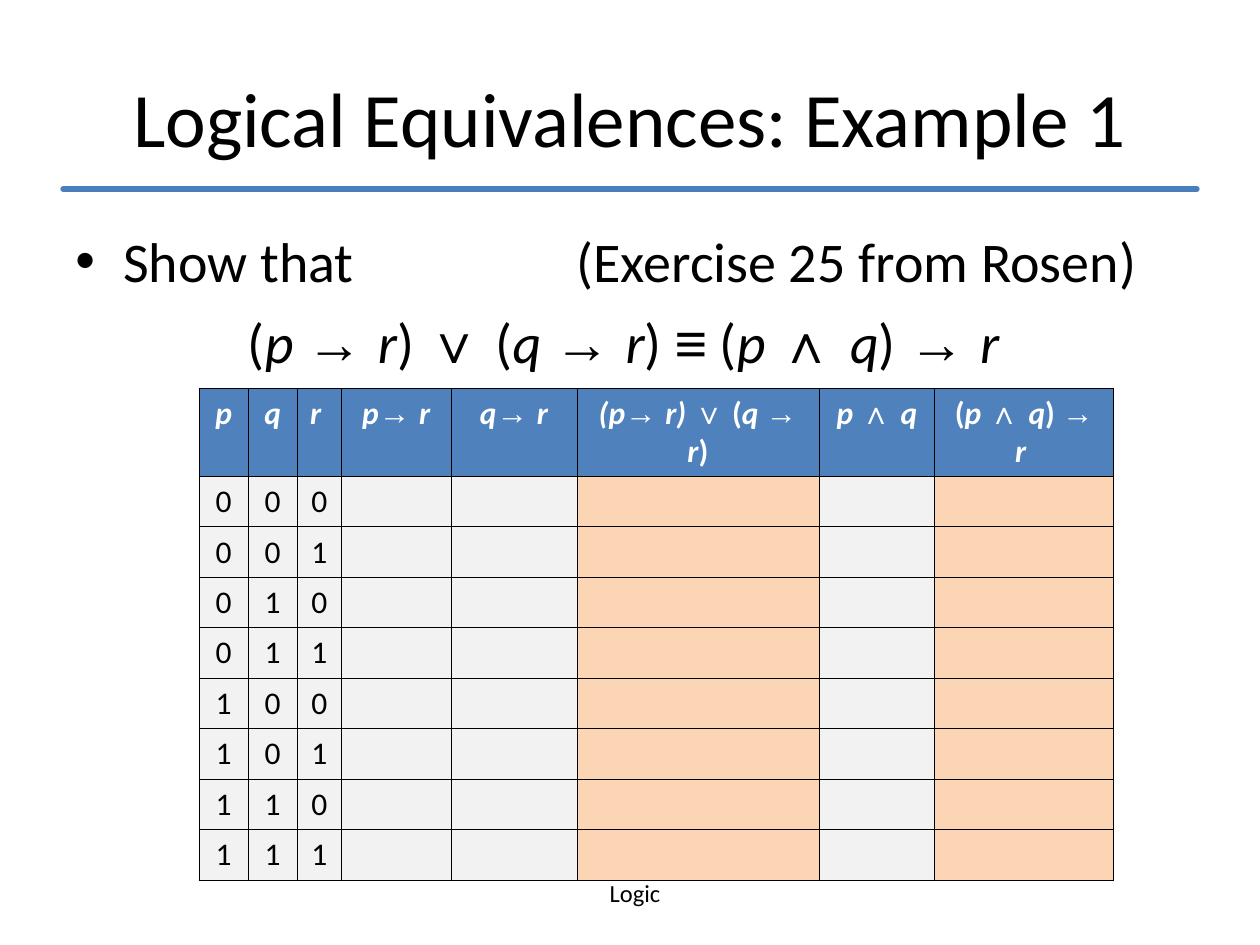
from dataclasses import dataclass
from itertools import product

from lxml import etree
from pptx import Presentation
from pptx import util as u
from pptx.dml.color import RGBColor
from pptx.enum import shapes, text
from pptx.oxml import parse_xml
from pptx.oxml.ns import nsdecls, qn


@dataclass(frozen=True)
class Theme:
    font: str = "Calibri"
    symbol_font: str = "Arial"
    ink: str = "000000"
    rule: str = "4A7EBB"
    header: str = "4F81BD"
    header_ink: str = "FFFFFF"
    plain: str = "F2F2F2"
    result: str = "FCD5B5"
    title_size: int = 44
    body_size: int = 32
    table_size: int = 18
    footer_size: int = 14


theme = Theme()


def write(paragraph, content, size, color=theme.ink, bold=False,
          align=text.PP_ALIGN.CENTER, space_before=0):
    """Fill a paragraph; * toggles italics and | toggles the symbol font."""
    paragraph.alignment = align
    paragraph.space_before = u.Pt(space_before)
    italic = False
    for part in content.split("*"):
        for index, piece in enumerate(part.split("|")):
            if piece:
                run = paragraph.add_run()
                run.text = piece
                run.font.name = theme.symbol_font if index % 2 else theme.font
                run.font.size = u.Pt(size)
                run.font.bold = bold
                run.font.italic = italic
                run.font.color.rgb = RGBColor.from_string(color)
        italic = not italic


def add_text_frame(slide, left, top, width, height):
    shape = slide.shapes.add_textbox(*map(u.Inches, (left, top, width, height)))
    shape.text_frame.word_wrap = True
    return shape.text_frame


presentation = Presentation()
presentation.slide_width = u.Inches(10)
presentation.slide_height = u.Inches(7.5)
slide = presentation.slides.add_slide(presentation.slide_layouts[6])

# Footer
footer = add_text_frame(slide, 3.58, 6.92, 2.92, 0.34)
write(footer.paragraphs[0], "Logic", theme.footer_size)

# Rule under the title
rule = slide.shapes.add_connector(
    shapes.MSO_CONNECTOR.STRAIGHT,
    u.Inches(0.5), u.Inches(1.5), u.Inches(9.5), u.Inches(1.5))
rule.line.color.rgb = RGBColor.from_string(theme.rule)
rule.line.width = u.Pt(3)
rule.line._get_or_add_ln().set("cap", "rnd")
etree.SubElement(rule._element.spPr, qn("a:effectLst"))

# Title
title = add_text_frame(slide, 0.5, 0.3, 9, 1.25)
title.vertical_anchor = text.MSO_ANCHOR.MIDDLE
write(title.paragraphs[0], "Logical Equivalences: Example 1", theme.title_size)

# Task and formula
body = add_text_frame(slide, 0.5, 1.75, 9, 4.95)
task, formula = body.paragraphs[0], body.add_paragraph()
write(task, "Show that \t(Exercise 25 from Rosen)", theme.body_size,
      align=text.PP_ALIGN.LEFT, space_before=8)
write(formula, "(*p *|→ |*r*) |∨| (*q *|→ |*r*) |≡| (*p *|∧ |*q*) |→ |*r *",
      theme.body_size, space_before=8)
for paragraph in (task, formula):
    properties = paragraph._p.get_or_add_pPr()
    properties.set("marL", str(u.Inches(0.38)))
    properties.set("indent", str(-u.Inches(0.38)))
properties = task._p.get_or_add_pPr()
etree.SubElement(properties, qn("a:buFont"), typeface=theme.symbol_font)
etree.SubElement(properties, qn("a:buChar"), char="•")
tabs = etree.SubElement(properties, qn("a:tabLst"))
for position, side in ((8.69, "r"), (9, "l"), (10, "l"), (11, "l")):
    etree.SubElement(tabs, qn("a:tab"), pos=str(u.Inches(position)), algn=side)

# Truth table: heading, column width, fill of the cells below
columns = [
    ("*p*", 0.39, theme.plain),
    ("*q*", 0.39, theme.plain),
    ("*r *", 0.35, theme.plain),
    ("*p*|→ |*r*", 0.87, theme.plain),
    ("*q*|→ |*r*", 1, theme.plain),
    ("*(p*|→ |*r) *|∨| (*q *|→ |*r*)", 1.92, theme.result),
    ("*p *|∧ |*q*", 0.92, theme.plain),
    ("(*p *|∧ |*q*) |→ |*r *", 1.42, theme.result),
]
inputs = list(product("01", repeat=3))
row_height = 0.4
row_count = len(inputs) + 1
table = slide.shapes.add_table(
    row_count, len(columns), u.Inches(1.58), u.Inches(3.08),
    u.Inches(sum(width for _, width, _ in columns)),
    u.Inches(row_height * row_count)).table
table.horz_banding = False
for row in table.rows:
    row.height = u.Inches(row_height)

for column_index, (heading, width, fill) in enumerate(columns):
    table.columns[column_index].width = u.Inches(width)
    for row_index in range(row_count):
        cell = table.cell(row_index, column_index)
        for side in ("lnL", "lnR", "lnT", "lnB"):
            cell._tc.get_or_add_tcPr().append(parse_xml(
                f'<a:{side} {nsdecls("a")} w="{u.Pt(0.45)}"><a:solidFill>'
                f'<a:srgbClr val="{theme.ink}"/></a:solidFill></a:{side}>'))
        cell.fill.solid()
        cell.fill.fore_color.rgb = RGBColor.from_string(
            fill if row_index else theme.header)
        paragraph = cell.text_frame.paragraphs[0]
        if row_index == 0:
            write(paragraph, heading, theme.table_size,
                  color=theme.header_ink, bold=True)
        elif column_index < 3:
            write(paragraph, inputs[row_index - 1][column_index],
                  theme.table_size)

presentation.save("out.pptx")
